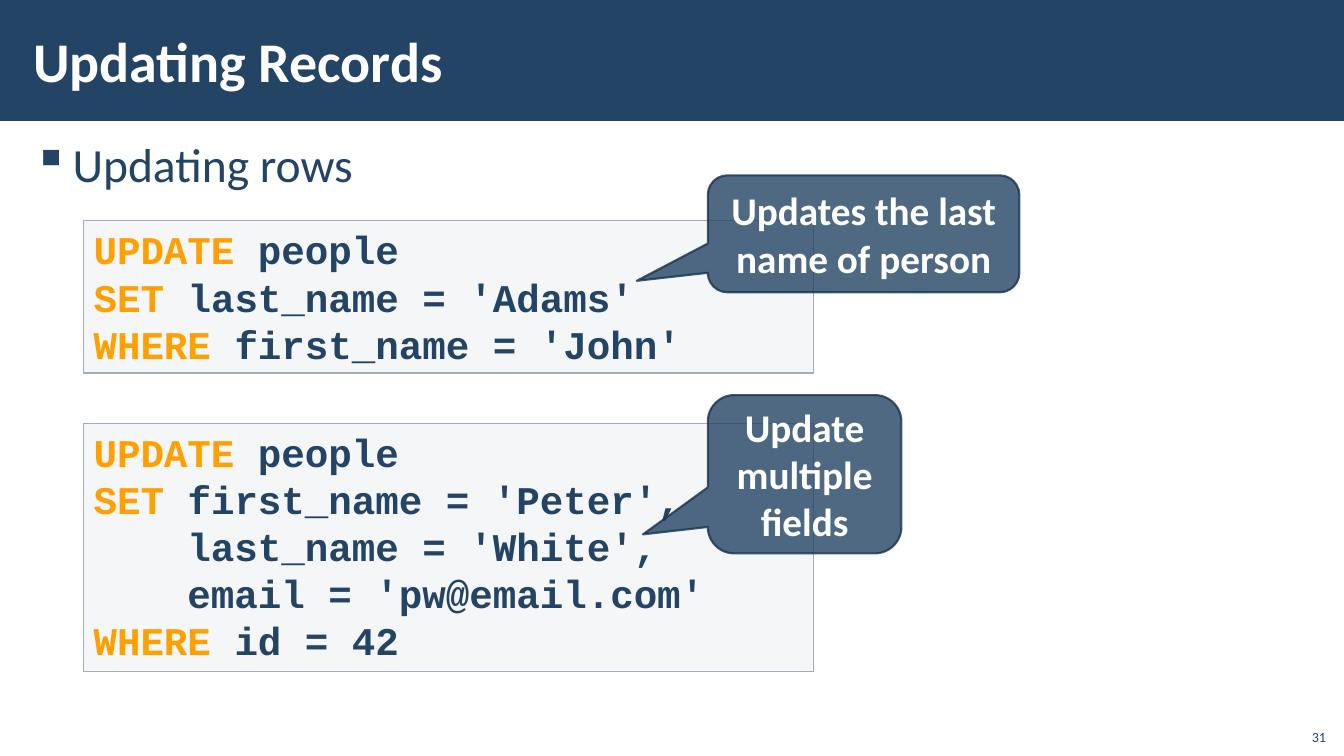
from lxml.etree import SubElement
from pptx import Presentation
from pptx.dml.color import RGBColor
from pptx.enum.shapes import MSO_SHAPE
from pptx.enum.text import MSO_ANCHOR, PP_ALIGN
from pptx.oxml.ns import qn
from pptx.util import Inches, Pt

TITLE = "Updating Records"
BULLET = "Updating rows"
PAGE = "31"
# Each code line is (keyword, rest)
EXAMPLES = [
    dict(top=2.19, height=1.51,
         code=[("UPDATE", " people"),
               ("SET ", "last_name = 'Adams'"),
               ("WHERE ", "first_name = 'John'")],
         note="Updates the last name of person",
         note_top=1.74, note_size=(3.09, 1.16), tail=(-0.728, 0.402)),
    dict(top=4.2, height=2.46,
         code=[("UPDATE", " people"),
               ("SET ", "first_name = 'Peter',"),
               ("", "    last_name = 'White',"),
               ("", "    email = 'pw@email.com'"),
               ("WHERE ", "id = 42")],
         note="Update multiple fields",
         note_top=3.92, note_size=(1.92, 1.57), tail=(-0.835, 0.38)),
]
COLORS = dict(navy="234465", white="FFFFFF", keyword="FFA000",
              code_fill="C2C7D2", code_line="A3ABBC", note_line="1A334C")
WIDTH, HEIGHT = 13.33, 7.5
CODE_LEFT, CODE_WIDTH, NOTE_LEFT = 0.83, 7.24, 7.02


def rgb(name):
    return RGBColor.from_string(COLORS[name])


def set_alpha(fill_parent, percent):
    """Make the solid fill directly inside the element translucent."""
    color = fill_parent.find(qn("a:solidFill"))[0]
    SubElement(color, qn("a:alpha"), val=str(percent * 1000))


def put_text(sp, lines, size, color="navy", font="Calibri", bold=False,
             align=PP_ALIGN.LEFT, anchor=MSO_ANCHOR.TOP, spacing=None,
             inset=(0.1, 0.05)):
    """Write lines, each a list of (text, colour or None) runs."""
    tf = sp.text_frame
    tf.word_wrap = True
    tf.vertical_anchor = anchor
    tf.margin_left = tf.margin_right = Inches(inset[0])
    tf.margin_top = tf.margin_bottom = Inches(inset[1])
    for i, runs in enumerate(lines):
        p = tf.add_paragraph() if i else tf.paragraphs[0]
        p.alignment = align
        p.line_spacing = spacing
        for text, run_color in runs:
            r = p.add_run()
            r.text = text
            r.font.size, r.font.name, r.font.bold = Pt(size), font, bold
            r.font.color.rgb = rgb(run_color or color)
    return tf


def add_box(s, kind, box, fill, line=None, weight=1, alpha=100, line_alpha=100):
    sp = s.shapes.add_shape(kind, *map(Inches, box))
    sp.shadow.inherit = False
    sp.fill.solid()
    sp.fill.fore_color.rgb = rgb(fill)
    if alpha < 100:
        set_alpha(sp._element.spPr, alpha)
    if line is None:
        sp.line.fill.background()
        return sp
    sp.line.color.rgb = rgb(line)
    sp.line.width = Pt(weight)
    if line_alpha < 100:
        set_alpha(sp.line._get_or_add_ln(), line_alpha)
    return sp


def add_title(s):
    band = add_box(s, MSO_SHAPE.RECTANGLE, (0, 0, WIDTH, 1.2), "navy")
    s.shapes._spTree.insert(2, band._element)
    title = s.shapes.title
    title.left, title.top, title.width, title.height = map(
        Inches, (0.21, 0.11, 10.63, 0.97))
    put_text(title, [[(TITLE, None)]], 40, color="white", bold=True,
             anchor=MSO_ANCHOR.MIDDLE, inset=(0.12, 0.04))


def add_bullet(s):
    sp = s.shapes.add_textbox(*map(Inches, (0.21, 1.27, 12.91, 6.09)))
    p = put_text(sp, [[(BULLET, None)]], 34, spacing=1.05,
                 inset=(0.12, 0.04)).paragraphs[0]
    p.space_before = p.space_after = Pt(6)
    pPr = p._p.get_or_add_pPr()
    pPr.set("marL", str(Inches(0.39)))
    pPr.set("indent", str(Inches(-0.39)))
    SubElement(pPr, qn("a:buChar"), char="▪")


def add_example(s, top, height, code, note, note_top, note_size, tail):
    sp = add_box(s, MSO_SHAPE.RECTANGLE, (CODE_LEFT, top, CODE_WIDTH, height),
                 "code_fill", "code_line", alpha=15)
    lines = [[(text, color) for text, color in zip(line, ("keyword", None)) if text]
             for line in code]
    put_text(sp, lines, 28, font="Courier New", bold=True)

    sp = add_box(s, MSO_SHAPE.ROUNDED_RECTANGULAR_CALLOUT,
                 (NOTE_LEFT, note_top, *note_size), "navy", "note_line",
                 weight=1.5, alpha=80, line_alpha=80)
    for i, value in enumerate((*tail, 0.167)):
        sp.adjustments[i] = value
    put_text(sp, [[(note, None)]], 28, color="white", bold=True,
             align=PP_ALIGN.CENTER, anchor=MSO_ANCHOR.MIDDLE)


def main():
    prs = Presentation()
    prs.slide_width, prs.slide_height = Inches(WIDTH), Inches(HEIGHT)
    s = prs.slides.add_slide(prs.slide_layouts[5])
    add_title(s)
    add_bullet(s)
    for example in EXAMPLES:
        add_example(s, **example)
    page = s.shapes.add_textbox(*map(Inches, (12.85, 7.12, 0.4, 0.32)))
    put_text(page, [[(PAGE, None)]], 10, align=PP_ALIGN.RIGHT,
             anchor=MSO_ANCHOR.BOTTOM)
    prs.save("out.pptx")


if __name__ == "__main__":
    main()
